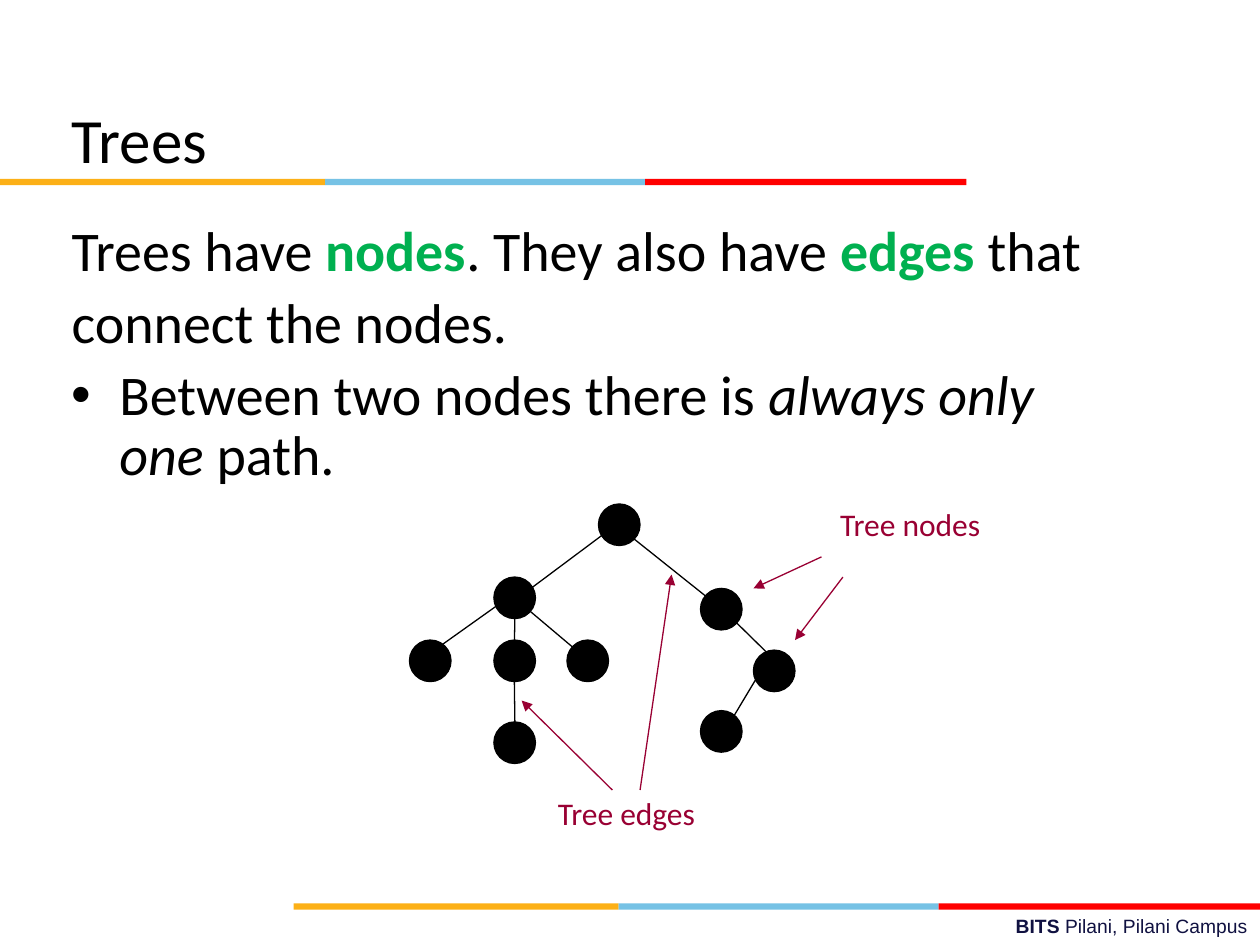
from dataclasses import dataclass

from lxml.etree import SubElement
from pptx import Presentation
from pptx.dml.color import RGBColor
from pptx.enum.shapes import MSO_CONNECTOR as Connector, MSO_SHAPE as Shape
from pptx.enum.text import MSO_ANCHOR as Anchor, PP_ALIGN as Align
from pptx.oxml.ns import qn
from pptx.util import Inches, Pt


@dataclass(frozen=True)
class Theme:
    black: str = "000000"
    green: str = "00B050"
    crimson: str = "990033"
    navy: str = "101141"
    stripes: tuple = ("FCB017", "76C2E5", "FF0000")
    font: str = "Calibri"
    footer_font: str = "Arial"
    title_size: int = 36
    body_size: int = 32
    label_size: int = 18
    footer_size: int = 11
    line_width: float = 0.75


THEME = Theme()
STRIPE_EDGES = (0, 2.58, 5.12, 7.67)
NODE_SIZE = 0.33
NODES = [
    (4.75, 4), (3.92, 4.58), (5.56, 4.67),
    (3.25, 5.08), (3.92, 5.08), (4.5, 5.08), (5.98, 5.16),
    (3.92, 5.73), (5.56, 5.64),
]
EDGES = [
    ((4.91, 4.15), (4.08, 4.77)), ((4.96, 4.22), (5.75, 4.85)),
    ((4.08, 4.71), (3.42, 5.18)), ((4.09, 4.71), (4.08, 5.25)),
    ((4.04, 4.71), (4.68, 5.25)), ((5.7, 4.8), (6.25, 5.34)),
    ((4.08, 5.24), (4.09, 5.99)), ((6.06, 5.29), (5.73, 5.84)),
]
POINTERS = [
    ((6.52, 4.42), (5.98, 4.67)), ((6.69, 4.58), (6.31, 5.08)),
    ((4.86, 6.27), (4.14, 5.56)), ((5.08, 6.27), (5.33, 4.56)),
]


def rgb(code):
    return RGBColor.from_string(code)


def add_span(para, text, *, size, color=THEME.black, font=THEME.font,
             bold=False, italic=False):
    span = para.add_run()
    span.text = text
    span.font.name, span.font.size = font, Pt(size)
    span.font.bold, span.font.italic = bold, italic
    span.font.color.rgb = rgb(color)


def add_box(page, left, top, width, height):
    box = page.shapes.add_textbox(
        Inches(left), Inches(top), Inches(width), Inches(height))
    box.text_frame.word_wrap = True
    return box.text_frame


def add_filled(page, preset, left, top, width, height, color, outlined=False):
    shape = page.shapes.add_shape(
        preset, Inches(left), Inches(top), Inches(width), Inches(height))
    shape.shadow.inherit = False
    shape.fill.solid()
    shape.fill.fore_color.rgb = rgb(color)
    if outlined:
        shape.line.color.rgb = rgb(color)
        shape.line.width = Pt(THEME.line_width)
    else:
        shape.line.fill.background()


def add_line(page, start, end, color, arrow=False):
    line = page.shapes.add_connector(
        Connector.STRAIGHT, *map(Inches, start + end))
    line.line.color.rgb = rgb(color)
    line.line.width = Pt(THEME.line_width)
    properties = line._element.spPr
    if arrow:
        SubElement(properties.find(qn("a:ln")), qn("a:tailEnd"), type="triangle")
    SubElement(properties, qn("a:effectLst"))


def add_stripes(page, left, top):
    for start, end, color in zip(STRIPE_EDGES, STRIPE_EDGES[1:], THEME.stripes):
        add_filled(page, Shape.RECTANGLE, left + start, top, end - start, 0.05, color)


def set_hanging(para, bullet=None):
    """Give the paragraph a hanging indent, with a bullet if one is named."""
    properties = para._p.get_or_add_pPr()
    properties.set("marL", str(Inches(0.38)))
    properties.set("indent", str(-Inches(0.38)))
    if bullet:
        SubElement(properties, qn("a:buFont"), typeface="Arial")
        SubElement(properties, qn("a:buChar"), char=bullet)
    else:
        SubElement(properties, qn("a:buNone"))


def add_title(page, text):
    title = page.shapes.title
    title.left, title.top = Inches(0.47), Inches(0.47)
    title.width, title.height = Inches(8.5), Inches(1.25)
    title.text_frame.vertical_anchor = Anchor.MIDDLE
    para = title.text_frame.paragraphs[0]
    para.alignment = Align.LEFT
    add_span(para, text, size=THEME.title_size)


def add_body(page):
    key = {"bold": True, "color": THEME.green}
    content = [
        (None, [("Trees have ", {}), ("nodes", key), (". They also have ", {}),
                ("edges ", key), ("that", {})]),
        (None, [("connect the nodes.", {})]),
        ("•", [("Between two nodes there is ", {}),
               ("always only one ", {"italic": True}), ("path.", {})]),
    ]
    frame = add_box(page, 0.47, 1.72, 8.5, 4.92)
    for index, (bullet, spans) in enumerate(content):
        para = frame.add_paragraph() if index else frame.paragraphs[0]
        set_hanging(para, bullet)
        para.line_spacing = 0.9
        para.space_before = Pt(6.5 if index else 0)
        for text, style in spans:
            add_span(para, text, size=THEME.body_size, **style)


def add_tree(page):
    for start, end in EDGES:
        add_line(page, start, end, THEME.black)
    for left, top in NODES:
        add_filled(page, Shape.OVAL, left, top, NODE_SIZE, NODE_SIZE,
                   THEME.black, outlined=True)
    for start, end in POINTERS:
        add_line(page, start, end, THEME.crimson, arrow=True)
    for text, left, top in (("Tree nodes", 6.57, 3.96), ("Tree edges", 4.33, 6.25)):
        frame = add_box(page, left, top, 1.53, 0.37)
        add_span(frame.paragraphs[0], text, size=THEME.label_size, color=THEME.crimson)


def add_footer(page):
    para = add_box(page, 3.58, 7.21, 6.42, 0.29).paragraphs[0]
    para.alignment = Align.RIGHT
    for text, bold in (("BITS ", True), ("Pilani, Pilani Campus", False)):
        add_span(para, text, size=THEME.footer_size, color=THEME.navy,
                 font=THEME.footer_font, bold=bold)


def main():
    deck = Presentation()
    deck.slide_width, deck.slide_height = Inches(10), Inches(7.5)
    page = deck.slides.add_slide(deck.slide_layouts[5])
    add_footer(page)
    add_stripes(page, 2.33, 7.17)
    add_stripes(page, 0, 1.42)
    add_title(page, "Trees")
    add_body(page)
    add_tree(page)
    deck.save("out.pptx")


if __name__ == "__main__":
    main()
